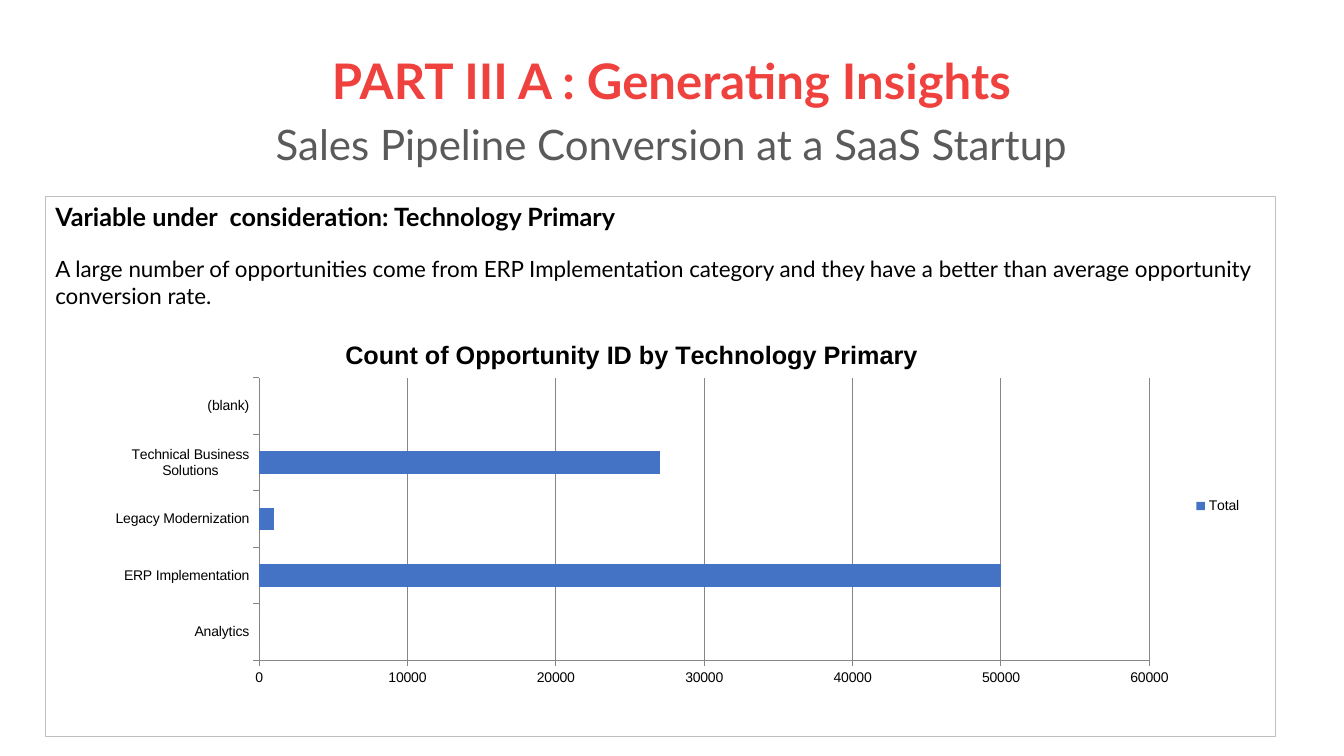
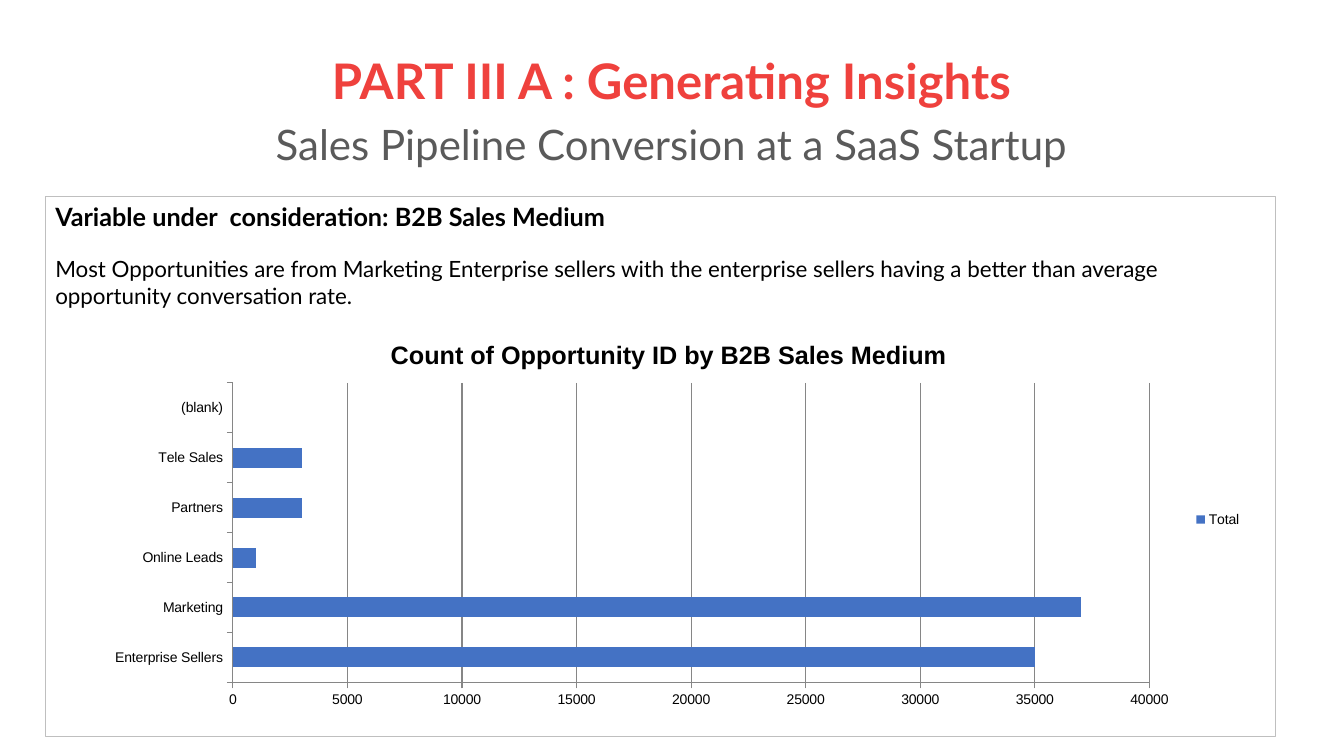
from lxml import etree
from pptx import Presentation
from pptx import util as u
from pptx.chart.data import CategoryChartData
from pptx.dml.color import RGBColor
from pptx.enum import chart as charts, shapes, text
from pptx.oxml.ns import qn

RED = RGBColor(0xEF, 0x41, 0x3D)
GRAY = RGBColor(0x5A, 0x5A, 0x5A)
BLACK = RGBColor(0, 0, 0)
BORDER = RGBColor(0xBF, 0xBF, 0xBF)
AXIS = RGBColor(0x86, 0x86, 0x86)
BLUE = RGBColor(0x44, 0x72, 0xC4)

TITLE_BOX = (0.91, 0.4, 11.5, 1.45)
PANEL_BOX = (0.45, 1.95, 12.2, 5.36)
HEADING = "PART III A : Generating Insights"
SUBTITLE = "Sales Pipeline Conversion at a SaaS Startup"

# Chart titles and plots are placed in inches within the chart's box
SLIDES = [
    {
        "variable": "Technology Primary",
        "finding": "A large number of opportunities come from ERP Implementation "
                   "category and they have a better than average opportunity "
                   "conversion rate.",
        "chart_box": (0.92, 3.16, 11.5, 3.72),
        "title_corner": (2.46, 0.15),
        "plot_box": (1.65, 0.59, 8.83, 2.8),
        "counts": {
            "Analytics": 0,
            "ERP Implementation": 50000,
            "Legacy Modernization": 1000,
            "Technical Business Solutions": 27000,
            "(blank)": None,
        },
    },
    {
        "variable": "B2B Sales Medium",
        "finding": "Most Opportunities are from Marketing Enterprise sellers with "
                   "the enterprise sellers having a better than average "
                   "opportunity conversation rate.",
        "chart_box": (0.92, 3.21, 11.5, 3.89),
        "title_corner": (2.91, 0.1),
        "plot_box": (1.39, 0.59, 9.09, 2.97),
        "counts": {
            "Enterprise Sellers": 35000,
            "Marketing": 37000,
            "Online Leads": 1000,
            "Partners": 3000,
            "Tele Sales": 3000,
            "(blank)": None,
        },
    },
]


def inches(box):
    return [u.Inches(length) for length in box]


def format_font(font, size, color=BLACK, bold=False, name="Lato"):
    font.name = name
    font.size = u.Pt(size)
    font.bold = bold
    font.color.rgb = color


def write(paragraph, content, align=text.PP_ALIGN.LEFT, before=0, spacing=1.0,
          **font_format):
    """Put one formatted run into a paragraph."""
    paragraph.alignment = align
    paragraph.space_before = u.Pt(before)
    paragraph.line_spacing = spacing
    run = paragraph.add_run()
    run.text = content
    format_font(run.font, **font_format)


def add_title(slide, box):
    title = slide.shapes.title
    title.left, title.top, title.width, title.height = inches(box)
    frame = title.text_frame
    frame.auto_size = text.MSO_AUTO_SIZE.NONE
    frame.vertical_anchor = text.MSO_ANCHOR.MIDDLE
    centered = {"align": text.PP_ALIGN.CENTER, "spacing": 0.9}
    write(frame.paragraphs[0], HEADING, size=35, color=RED, bold=True, **centered)
    write(frame.add_paragraph(), SUBTITLE, size=30, color=GRAY, before=10, **centered)


def add_panel(slide, box, variable, finding):
    panel = slide.shapes.add_shape(shapes.MSO_SHAPE.RECTANGLE, *inches(box))
    panel.shadow.inherit = False
    panel.fill.background()
    panel.line.color.rgb = BORDER
    panel.line.width = u.Pt(0.75)
    frame = panel.text_frame
    frame.word_wrap = True
    frame.vertical_anchor = text.MSO_ANCHOR.TOP
    write(frame.paragraphs[0], f"Variable under  consideration: {variable}",
          size=18, bold=True)
    write(frame.add_paragraph(), finding, size=16, before=17)


def make_layout(element, chart_box, box):
    """Give a chart part a manual layout from its box in inches."""
    for old in element.findall(qn("c:layout")):
        element.remove(old)
    layout = etree.Element(qn("c:layout"))
    manual = etree.SubElement(layout, qn("c:manualLayout"))
    settings = {"layoutTarget": "inner"} if len(box) == 4 else {}
    settings.update(xMode="edge", yMode="edge")
    sizes = chart_box[2:] * 2
    for tag, length, size in zip("xywh", box, sizes):
        settings[tag] = length / size
    for tag, value in settings.items():
        etree.SubElement(manual, qn(f"c:{tag}")).set("val", str(value))
    return layout


def add_count_chart(slide, box, variable, counts, title_corner, plot_box):
    data = CategoryChartData()
    data.categories = list(counts)
    data.add_series("Total", list(counts.values()))
    chart = slide.shapes.add_chart(
        charts.XL_CHART_TYPE.BAR_CLUSTERED, *inches(box), data).chart
    format_font(chart.font, 10, name="Arial")

    # Title and legend
    chart.has_title = True
    write(chart.chart_title.text_frame.paragraphs[0],
          f"Count of Opportunity ID by {variable}",
          align=text.PP_ALIGN.CENTER, size=18, bold=True, name="Arial")
    chart.has_legend = True
    chart.legend.position = charts.XL_LEGEND_POSITION.RIGHT
    chart.legend.include_in_layout = False

    # Placement of title and plot
    title = chart.chart_title._element
    title_layout = make_layout(title, box, title_corner)
    title.find(qn("c:tx")).addnext(title_layout)
    plot_area = chart._chartSpace.find(f".//{qn('c:plotArea')}")
    plot_area.insert(0, make_layout(plot_area, box, plot_box))

    # Bars
    plot = chart.plots[0]
    plot.gap_width = 150
    plot.vary_by_categories = False
    fill = plot.series[0].format.fill
    fill.solid()
    fill.fore_color.rgb = BLUE

    # Axes and gridlines
    chart.value_axis.has_major_gridlines = True
    for axis in (chart.category_axis, chart.value_axis):
        axis.major_tick_mark = charts.XL_TICK_MARK.OUTSIDE
        axis.minor_tick_mark = charts.XL_TICK_MARK.NONE
    for line in (chart.category_axis.format.line, chart.value_axis.format.line,
                 chart.value_axis.major_gridlines.format.line):
        line.color.rgb = AXIS
        line.width = u.Pt(0.75)


def add_insight_slide(presentation, variable, finding, chart_box, title_corner,
                      plot_box, counts):
    slide = presentation.slides.add_slide(presentation.slide_layouts[5])
    add_title(slide, TITLE_BOX)
    add_panel(slide, PANEL_BOX, variable, finding)
    add_count_chart(slide, chart_box, variable, counts, title_corner, plot_box)


def main():
    presentation = Presentation()
    presentation.slide_width = u.Inches(13.33)
    presentation.slide_height = u.Inches(7.5)
    for content in SLIDES:
        add_insight_slide(presentation, **content)
    presentation.save("out.pptx")


if __name__ == "__main__":
    main()
